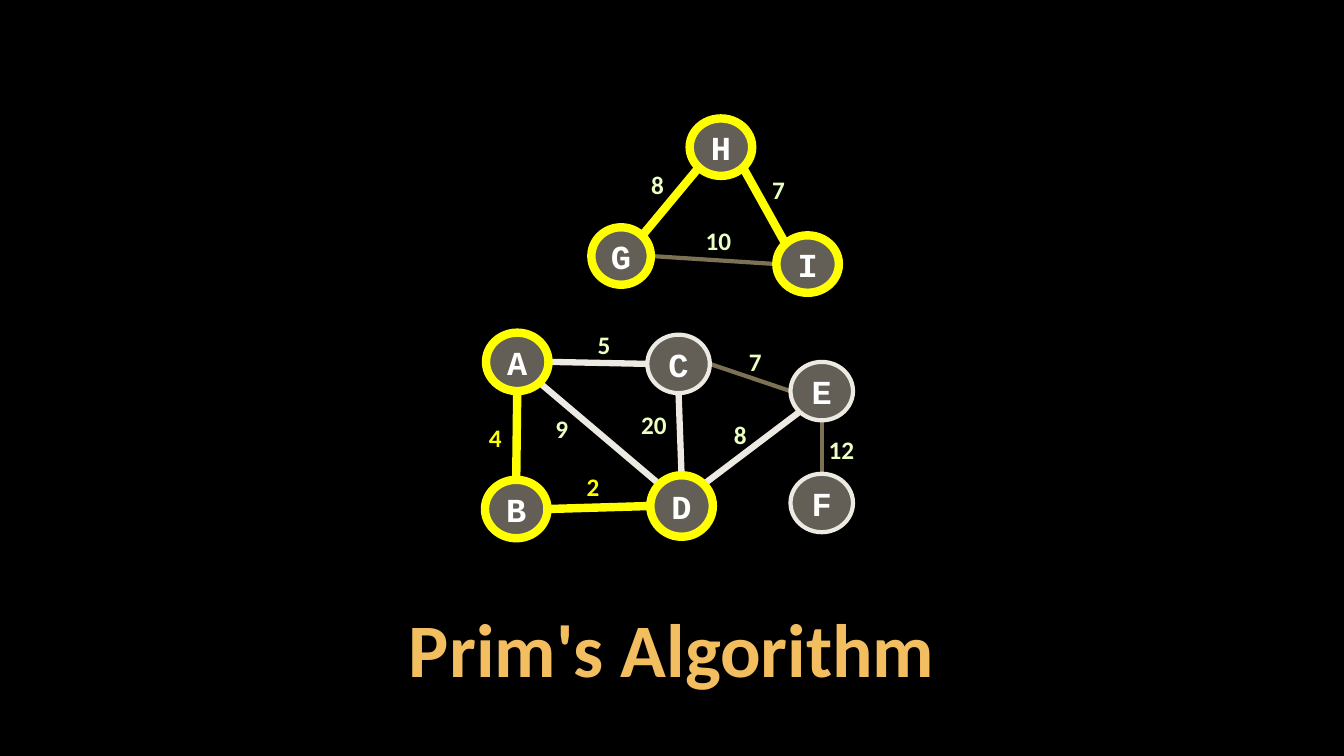
from lxml.etree import SubElement
from pptx import Presentation
from pptx.dml.color import RGBColor
from pptx.enum.shapes import MSO_CONNECTOR as Connector, MSO_SHAPE as Shape
from pptx.enum.text import MSO_ANCHOR as Anchor, MSO_AUTO_SIZE as AutoSize, PP_ALIGN as Align
from pptx.oxml.ns import qn
from pptx.util import Inches, Pt

# Content
TITLE = "Prim's Algorithm"
COLORS = {
    "background": "000000", "title": "F3BE60", "letter": "FFFFFF",
    "node": "C7BFAC", "tree": "FFFF00", "candidate": "ECEAE3",
    "unseen": "7C7154", "weight": "EBFFC2",
}
LINE_WIDTHS = {"tree": 6, "candidate": 4.5, "unseen": 3}

# Letter: (centre x, centre y, width, height, visited), in inches
NODES = {
    "A": (5.13, 3.59, 0.62, 0.58, True),
    "B": (5.12, 5.05, 0.62, 0.58, True),
    "C": (6.73, 3.61, 0.62, 0.58, False),
    "D": (6.76, 5.02, 0.62, 0.61, True),
    "E": (8.15, 3.88, 0.62, 0.58, False),
    "F": (8.15, 4.99, 0.62, 0.58, False),
    "I": (8.01, 2.62, 0.62, 0.57, True),
    "G": (6.16, 2.54, 0.59, 0.57, True),
    "H": (7.15, 1.46, 0.62, 0.57, True),
}

# Start, side, end, side, state, weight, label left, label top, label colour
EDGES = [
    ("D", "NE", "E", "SW", "candidate", "8", 7.18, 4.11, "weight"),
    ("D", "N", "C", "S", "candidate", "20", 6.26, 4.01, "weight"),
    ("F", "N", "E", "S", "unseen", "12", 8.12, 4.26, "weight"),
    ("D", "W", "B", "E", "tree", "2", 5.72, 4.63, "tree"),
    ("D", "NW", "A", "SE", "candidate", "9", 5.41, 4.05, "weight"),
    ("C", "E", "E", "W", "unseen", "7", 7.33, 3.39, "weight"),
    ("B", "N", "A", "S", "tree", "4", 4.75, 4.14, "tree"),
    ("A", "E", "C", "W", "candidate", "5", 5.83, 3.22, "weight"),
    ("G", "E", "I", "W", "unseen", "10", 6.9, 2.19, "weight"),
    ("G", "NE", "H", "SW", "tree", "8", 6.36, 1.63, "weight"),
    ("I", "NW", "H", "SE", "tree", "7", 7.56, 1.68, "weight"),
]


def color(name):
    return RGBColor.from_string(COLORS[name])


def write(shape, text, *, size, fill, font="Calibri", align=Align.LEFT,
          anchor=Anchor.TOP, wrap=False, grow=True, spacing=None, inset=None):
    frame = shape.text_frame
    frame.word_wrap = wrap
    frame.auto_size = AutoSize.SHAPE_TO_FIT_TEXT if grow else AutoSize.NONE
    frame.vertical_anchor = anchor
    if inset is not None:
        frame.margin_left = frame.margin_right = Inches(inset)
        frame.margin_top = frame.margin_bottom = Inches(inset)
    paragraph = frame.paragraphs[0]
    paragraph.alignment = align
    paragraph.line_spacing = spacing
    run = paragraph.add_run()
    run.text = text
    run.font.name, run.font.size, run.font.bold = font, Pt(size), True
    run.font.color.rgb = color(fill)


def rim_point(letter, side):
    """Point on a node's rim; diagonal sides lie at 45 degrees."""
    x, y, width, height, _ = NODES[letter]
    reach = 0.5 ** 0.5 if len(side) == 2 else 1
    across = ("E" in side) - ("W" in side)
    down = ("S" in side) - ("N" in side)
    return (Inches(x + across * reach * width / 2),
            Inches(y + down * reach * height / 2))


def add_edge(slide, start, start_side, end, end_side, state):
    edge = slide.shapes.add_connector(
        Connector.STRAIGHT, *rim_point(start, start_side), *rim_point(end, end_side))
    edge.line.color.rgb = color(state)
    edge.line.width = Pt(LINE_WIDTHS[state])
    SubElement(edge.element.spPr, qn("a:effectLst"))


def add_node(slide, letter):
    x, y, width, height, visited = NODES[letter]
    node = slide.shapes.add_shape(
        Shape.OVAL, Inches(x - width / 2), Inches(y - height / 2),
        Inches(width), Inches(height))
    node.shadow.inherit = False
    node.fill.solid()
    node.fill.fore_color.rgb = color("node")
    tint = node.element.spPr.find(qn("a:solidFill"))[0]
    SubElement(tint, qn("a:alpha"), val="50000")
    node.line.color.rgb = color("tree" if visited else "candidate")
    node.line.width = Pt(6 if visited else 3)
    write(node, letter, size=24, fill="letter", font="Courier New",
          align=Align.CENTER, anchor=Anchor.MIDDLE, grow=False)


def main():
    presentation = Presentation()
    presentation.slide_width, presentation.slide_height = Inches(13.33), Inches(7.5)
    slide = presentation.slides.add_slide(presentation.slide_layouts[5])
    slide.background.fill.solid()
    slide.background.fill.fore_color.rgb = color("background")

    # Title
    title = slide.shapes.title
    title.left, title.top = Inches(1), Inches(6.02)
    title.width, title.height = Inches(11.33), Inches(0.9)
    write(title, TITLE, size=54, fill="title", align=Align.CENTER,
          anchor=Anchor.BOTTOM, wrap=True, spacing=0.9, inset=0.04)

    # Edges and their weights
    for *ends, state, weight, left, top, label_color in EDGES:
        add_edge(slide, *ends, state)
        label_width = 0.2 + 0.13 * len(weight)
        label = slide.shapes.add_textbox(
            Inches(left), Inches(top), Inches(label_width), Inches(0.4))
        write(label, weight, size=18, fill=label_color)

    # Nodes
    for letter in NODES:
        add_node(slide, letter)

    presentation.save("out.pptx")


if __name__ == "__main__":
    main()
